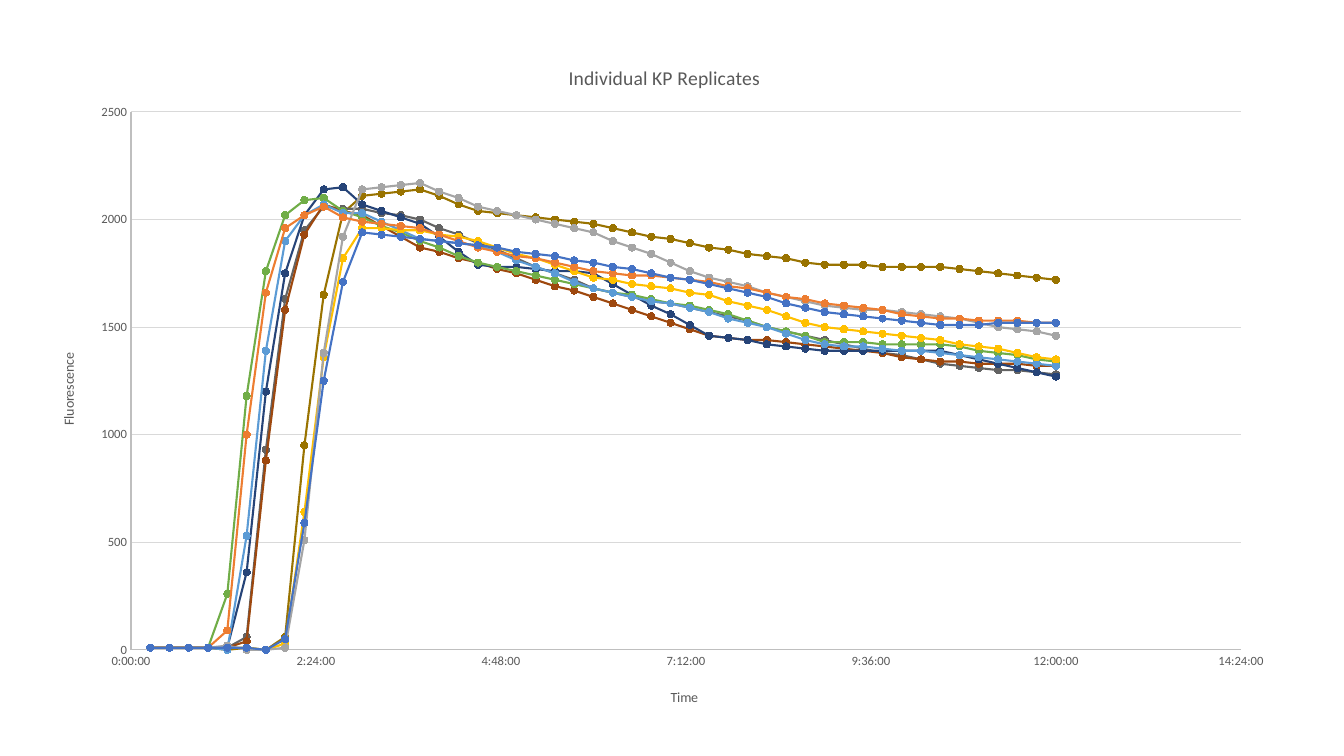
"""Builds a slide with one scatter chart of fluorescence against time."""
from dataclasses import dataclass

from lxml import etree
from pptx import Presentation
from pptx.chart.axis import ValueAxis
from pptx.chart.chart import Chart
from pptx.chart.data import XyChartData
from pptx.chart.series import XySeries
from pptx.dml.color import RGBColor
from pptx.enum.chart import XL_CHART_TYPE, XL_MARKER_STYLE, XL_TICK_MARK
from pptx.oxml import parse_xml
from pptx.oxml.ns import nsdecls, qn
from pptx.util import Emu, Pt

SCATTER_LINES = XL_CHART_TYPE.XY_SCATTER_LINES
CIRCLE = XL_MARKER_STYLE.CIRCLE
NO_TICKS = XL_TICK_MARK.NONE
EMU_PER_PIXEL = 914400 / 100.8
READINGS_PER_DAY = 96  # one reading every 15 minutes, time as a fraction of a day
BASELINE = 10
# Steps with a stated reading: the baseline, the steep rise, then the slow decline.
KEY_STEPS = (1, 4, *range(5, 12), *range(12, 18, 3), *range(18, 49, 6))


@dataclass(frozen=True)
class Theme:
    """Colours, font and sizes used on the slide."""
    font: str = "Calibri"
    text: str = "595959"
    axis: str = "BFBFBF"
    grid: str = "D9D9D9"
    title_size: float = 14
    axis_title_size: float = 10
    label_size: float = 9
    hairline: float = 0.75
    series_line: float = 1.5
    marker_size: int = 5


@dataclass(frozen=True)
class Box:
    """A rectangle in whole pixels."""
    left: int
    top: int
    width: int = 0
    height: int = 0


@dataclass(frozen=True)
class Replicate:
    """Line colour and key readings of one replicate after the baseline."""
    color: str
    rise: tuple[int, ...]
    decline: tuple[int, ...]

    def readings(self) -> list[int]:
        """Return one reading per step, linear between the key steps."""
        values = (BASELINE, BASELINE, *self.rise, *self.decline)
        keys = list(zip(KEY_STEPS, values))
        readings = [BASELINE]
        for (start, low), (end, high) in zip(keys, keys[1:]):
            slope = (high - low) / (end - start)
            readings += [round(low + slope * step, -1) for step in range(1, end - start + 1)]
        return readings


@dataclass(frozen=True)
class AxisStyle:
    """Title, title place, scale and number format of one axis."""
    title: str
    title_box: Box
    maximum: float
    step: float
    number_format: str
    rotation: int = 0


THEME = Theme()
SLIDE = Box(0, 0, 1344, 756)
CHART = Box(34, 36, 1254, 687)
PLOT = Box(131, 112, 1110, 538)
TITLE_BOX = Box(565, 61)
TIME_AXIS = AxisStyle("Time", Box(668, 686), 0.6, 0.1, "h:mm:ss")
FLUORESCENCE_AXIS = AxisStyle("Fluorescence", Box(57, 350), 2500, 500, "General", -5400000)

REPLICATES = (
    Replicate("4472C4", (10, 10, 0, 50, 590, 1250, 1710),
              (1940, 1910, 1880, 1800, 1700, 1570, 1510, 1520)),
    Replicate("ED7D31", (90, 1000, 1660, 1960, 2020, 2060, 2010),
              (1990, 1960, 1870, 1760, 1710, 1610, 1540, 1520)),
    Replicate("A5A5A5", (20, 0, 0, 10, 510, 1380, 1920),
              (2140, 2170, 2060, 1940, 1730, 1600, 1550, 1460)),
    Replicate("FFC000", (10, 10, 0, 30, 640, 1360, 1820),
              (1960, 1950, 1900, 1730, 1650, 1500, 1440, 1350)),
    Replicate("5B9BD5", (0, 530, 1390, 1900, 2020, 2070, 2030),
              (2030, 1910, 1880, 1680, 1570, 1420, 1380, 1320)),
    Replicate("70AD47", (260, 1180, 1760, 2020, 2090, 2100, 2040),
              (2010, 1900, 1800, 1680, 1580, 1430, 1420, 1340)),
    Replicate("264478", (10, 360, 1200, 1750, 2020, 2140, 2150),
              (2070, 1980, 1790, 1750, 1460, 1390, 1390, 1270)),
    Replicate("9E480E", (10, 40, 880, 1580, 1930, 2070, 2040),
              (2020, 1870, 1800, 1640, 1460, 1410, 1340, 1320)),
    Replicate("636363", (10, 60, 930, 1630, 1950, 2060, 2050),
              (2050, 2000, 1890, 1680, 1570, 1440, 1330, 1280)),
    Replicate("997300", (0, 10, 0, 60, 950, 1650, 2030),
              (2110, 2140, 2040, 1980, 1870, 1790, 1780, 1720)),
)


def emu(pixels: int) -> Emu:
    """Turn pixels into EMU."""
    return Emu(round(pixels * EMU_PER_PIXEL))


def style_font(font, size: float) -> None:
    """Set the theme font and text colour at the given size."""
    font.name, font.size, font.bold = THEME.font, Pt(size), False
    font.color.rgb = RGBColor.from_string(THEME.text)


def style_line(line, color: str, width: float) -> None:
    """Set colour and width of a line."""
    line.color.rgb = RGBColor.from_string(color)
    line.width = Pt(width)


def place(parent: etree._Element, box: Box, index: int) -> None:
    """Fix a chart part at a box, as fractions of the chart."""
    for layout in parent.findall(qn("c:layout")):
        parent.remove(layout)
    values = {"xMode": "edge", "yMode": "edge",
              "x": (box.left - CHART.left) / CHART.width,
              "y": (box.top - CHART.top) / CHART.height}
    if box.width:
        values = {"layoutTarget": "inner", **values,
                  "w": box.width / CHART.width, "h": box.height / CHART.height}
    items = "".join(f'<c:{name} val="{value}"/>' for name, value in values.items())
    parent.insert(index, parse_xml(
        f'<c:layout {nsdecls("c")}><c:manualLayout>{items}</c:manualLayout></c:layout>'))


def write_title(title, text: str, box: Box, size: float, rotation: int = 0) -> None:
    """Write and place a chart or axis title."""
    frame = title.text_frame
    frame.text = text
    style_font(frame.paragraphs[0].font, size)
    body = frame._txBody.find(qn("a:bodyPr"))
    body.set("rot", str(rotation))
    body.set("vert", "horz")
    place(title._element, box, 1)


def style_axis(axis: ValueAxis, style: AxisStyle) -> None:
    """Set scale, labels, line and title of an axis."""
    axis.minimum_scale, axis.maximum_scale, axis.major_unit = 0, style.maximum, style.step
    axis.major_tick_mark = axis.minor_tick_mark = NO_TICKS
    axis.tick_labels.number_format = style.number_format
    axis.tick_labels.number_format_is_linked = False
    style_font(axis.tick_labels.font, THEME.label_size)
    style_line(axis.format.line, THEME.axis, THEME.hairline)
    write_title(axis.axis_title, style.title, style.title_box, THEME.axis_title_size, style.rotation)


def style_series(series: XySeries, color: str) -> None:
    """Colour the line and round markers of a series."""
    series.smooth = False
    style_line(series.format.line, color, THEME.series_line)
    marker = series.marker
    marker.style, marker.size = CIRCLE, THEME.marker_size
    marker.format.fill.solid()
    marker.format.fill.fore_color.rgb = RGBColor.from_string(color)
    style_line(marker.format.line, color, THEME.hairline)


def add_replicate_chart(slide) -> Chart:
    """Add the scatter chart with all replicates."""
    data = XyChartData()
    for number, replicate in enumerate(REPLICATES, 1):
        series = data.add_series(f"Series {number}")
        for step, reading in enumerate(replicate.readings(), 1):
            series.add_data_point(step / READINGS_PER_DAY, reading)
    bounds = map(emu, (CHART.left, CHART.top, CHART.width, CHART.height))
    chart = slide.shapes.add_chart(SCATTER_LINES, *bounds, data).chart
    chart.has_legend = False
    style_font(chart.font, THEME.axis_title_size)
    write_title(chart.chart_title, "Individual KP Replicates", TITLE_BOX, THEME.title_size)
    style_axis(chart.category_axis, TIME_AXIS)
    style_axis(chart.value_axis, FLUORESCENCE_AXIS)
    chart.category_axis.has_major_gridlines = False
    style_line(chart.value_axis.major_gridlines.format.line, THEME.grid, THEME.hairline)
    plot = chart.plots[0]
    plot.vary_by_categories = False
    for series, replicate in zip(plot.series, REPLICATES):
        style_series(series, replicate.color)
    place(chart._chartSpace.chart.plotArea, PLOT, 0)
    return chart


presentation = Presentation()
presentation.slide_width, presentation.slide_height = emu(SLIDE.width), emu(SLIDE.height)
add_replicate_chart(presentation.slides.add_slide(presentation.slide_layouts[6]))
presentation.save("out.pptx")
